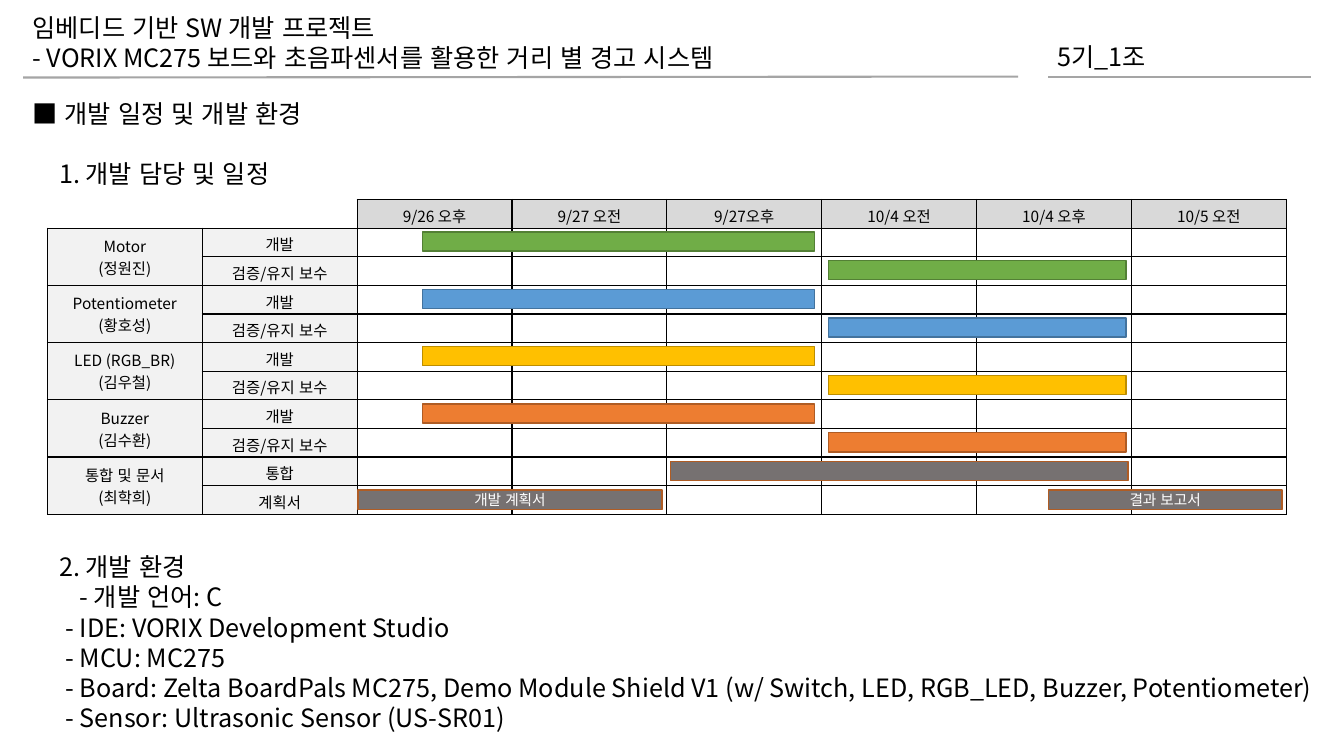
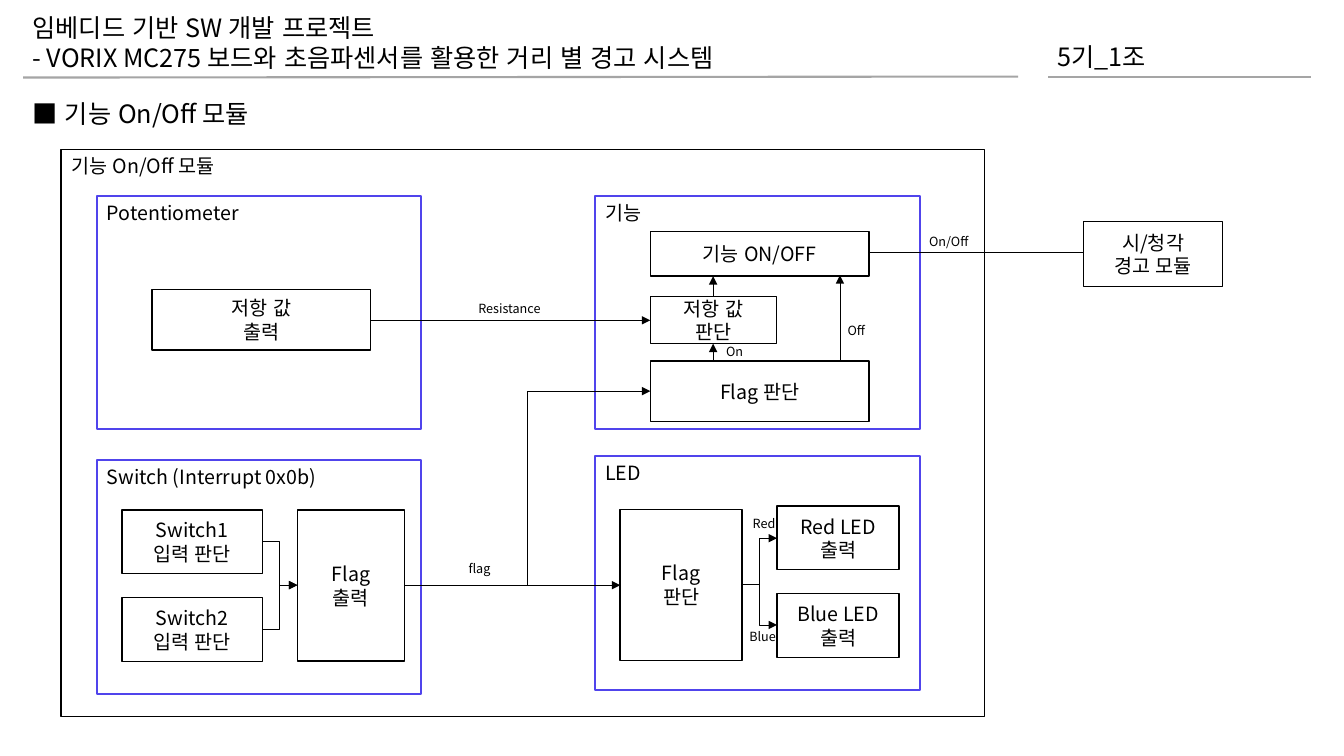
from dataclasses import dataclass
from typing import Optional

from lxml import etree
from pptx import Presentation
from pptx.dml.color import RGBColor
from pptx.enum.lang import MSO_LANGUAGE_ID
from pptx.enum.shapes import MSO_CONNECTOR, MSO_SHAPE
from pptx.enum.text import MSO_ANCHOR, PP_ALIGN
from pptx.oxml.ns import qn
from pptx.util import Pt

LEFT, CENTER = PP_ALIGN.LEFT, PP_ALIGN.CENTER
TOP, MIDDLE = MSO_ANCHOR.TOP, MSO_ANCHOR.MIDDLE
STRAIGHT, ELBOW = MSO_CONNECTOR.STRAIGHT, MSO_CONNECTOR.ELBOW
RECTANGLE = MSO_SHAPE.RECTANGLE
KOREAN = MSO_LANGUAGE_ID.KOREAN

FONT = "Noto Sans CJK KR"
COLORS = {
    "black": "000000", "white": "FFFFFF", "rule": "A5A5A5", "panel": "5044EC",
    "head": "D9D9D9", "label": "F2F2F2",
    "green": "70AD47", "green_edge": "538035", "blue": "5B9BD5", "blue_edge": "43739E",
    "yellow": "FFC000", "yellow_edge": "BD8E00", "orange": "ED7D31",
    "orange_edge": "AF5C24", "gray": "767171", "gray_edge": "AF5C24",
}


@dataclass
class Line:
    """One paragraph: text, left indent and space before."""
    text: str
    indent: float = 0
    before: float = 0


@dataclass
class Box:
    left: float
    top: float
    width: float
    height: float
    text: str = ""
    fill: str = "white"
    edge: str = "black"
    weight: float = 1
    size: float = 14
    color: str = "black"
    align: PP_ALIGN = CENTER
    anchor: MSO_ANCHOR = MIDDLE


@dataclass
class Link:
    start: tuple[float, float]
    end: tuple[float, float]
    kind: MSO_CONNECTOR = STRAIGHT
    arrow: bool = True
    color: str = "black"
    weight: float = 0.5


@dataclass
class Bar:
    row: int
    left: float
    width: float
    color: str
    text: str = ""


def rgb(name: str) -> RGBColor:
    return RGBColor.from_string(COLORS[name])


def lines_of(text: str) -> list[Line]:
    return [Line(part) for part in text.split("\n")]


# Shared drawing functions
def write(frame, lines: list[Line], size: float, color: str = "black",
          align: PP_ALIGN = LEFT, pitch: float = 1.2) -> None:
    for index, line in enumerate(lines):
        paragraph = frame.paragraphs[0] if index == 0 else frame.add_paragraph()
        paragraph.alignment = align
        paragraph.line_spacing = Pt(size * pitch)
        paragraph.space_before = Pt(line.before)
        if line.indent:
            paragraph._p.get_or_add_pPr().set("marL", str(Pt(line.indent)))
        run = paragraph.add_run()
        run.text = line.text
        run.font.size = Pt(size)
        run.font.language_id = KOREAN
        run.font.color.rgb = rgb(color)
        run.font.name = FONT
        etree.SubElement(run._r.get_or_add_rPr(), qn("a:ea"), typeface=FONT)


def add_text(slide, left: float, top: float, width: float, height: float,
             lines: list[Line], size: float = 18) -> None:
    shape = slide.shapes.add_textbox(Pt(left), Pt(top), Pt(width), Pt(height))
    shape.text_frame.word_wrap = True
    write(shape.text_frame, lines, size)


def add_box(slide, box: Box) -> None:
    shape = slide.shapes.add_shape(
        RECTANGLE, Pt(box.left), Pt(box.top), Pt(box.width), Pt(box.height))
    shape.shadow.inherit = False
    shape.fill.solid()
    shape.fill.fore_color.rgb = rgb(box.fill)
    shape.line.color.rgb = rgb(box.edge)
    shape.line.width = Pt(box.weight)
    if box.text:
        frame = shape.text_frame
        frame.word_wrap = True
        frame.vertical_anchor = box.anchor
        if box.anchor == MIDDLE:
            frame.margin_top = frame.margin_bottom = 0
        write(frame, lines_of(box.text), box.size, box.color, box.align)


def add_link(slide, link: Link) -> None:
    points = [Pt(value) for value in (*link.start, *link.end)]
    connector = slide.shapes.add_connector(link.kind, *points)
    connector.line.color.rgb = rgb(link.color)
    connector.line.width = Pt(link.weight)
    if link.arrow:
        etree.SubElement(connector.line._get_or_add_ln(), qn("a:tailEnd"), type="triangle")
    etree.SubElement(connector._element.spPr, qn("a:effectLst"))


def add_header(slide) -> None:
    for start, end in (((16.6, 55.4), (727.2, 54.7)), ((748.8, 54.7), (936.7, 54.7))):
        add_link(slide, Link(start, end, arrow=False, color="rule", weight=1.5))
    add_text(slide, 16.2, 5, 583.2, 51, lines_of(
        "임베디드 기반 SW 개발 프로젝트\n"
        "- VORIX MC275 보드와 초음파센서를 활용한 거리 별 경고 시스템"))
    add_text(slide, 748.4, 25.9, 172.8, 28.8, lines_of("5기_1조"))


# Schedule table
COLUMN_WIDTH, ROW_HEIGHT = 110.62, 20.45
TABLE_LEFT, TABLE_TOP = 33.9, 142.5
PERIODS = ["9/26 오후", "9/27 오전", "9/27오후", "10/4 오전", "10/4 오후", "10/5 오전"]
DEVELOPMENT = ("개발", "검증/유지 보수")
OWNERS = [
    ("Motor\n(정원진)", DEVELOPMENT),
    ("Potentiometer\n(황호성)", DEVELOPMENT),
    ("LED (RGB_BR)\n(김우철)", DEVELOPMENT),
    ("Buzzer\n(김수환)", DEVELOPMENT),
    ("통합 및 문서\n(최학희)", ("통합", "계획서")),
]


def style_cell(cell, text: str, fill: Optional[str], sides: str) -> None:
    properties = cell._tc.get_or_add_tcPr()
    for side in "LRTB":
        border = etree.SubElement(properties, qn(f"a:ln{side}"), w=str(Pt(1)))
        if side in sides:
            solid = etree.SubElement(border, qn("a:solidFill"))
            etree.SubElement(solid, qn("a:srgbClr"), val=COLORS["black"])
        else:
            etree.SubElement(border, qn("a:noFill"))
    if fill:
        cell.fill.solid()
        cell.fill.fore_color.rgb = rgb(fill)
    else:
        cell.fill.background()
    cell.margin_top = Pt(0 if "\n" in text else 2.5)
    cell.margin_bottom = 0
    cell.vertical_anchor = MIDDLE
    if text:
        write(cell.text_frame, lines_of(text), 11, align=CENTER, pitch=1.43)
    else:
        etree.SubElement(cell.text_frame.paragraphs[0]._p, qn("a:endParaRPr"), sz="1100")


def add_schedule(slide) -> None:
    row_count, column_count = 1 + 2 * len(OWNERS), 2 + len(PERIODS)
    table = slide.shapes.add_table(
        row_count, column_count, Pt(TABLE_LEFT), Pt(TABLE_TOP),
        Pt(COLUMN_WIDTH * column_count), Pt(ROW_HEIGHT * row_count)).table
    table.first_row = table.horz_banding = False
    for column in table.columns:
        column.width = Pt(COLUMN_WIDTH)
    for row in table.rows:
        row.height = Pt(ROW_HEIGHT)

    style_cell(table.cell(0, 0), "", None, "B")
    style_cell(table.cell(0, 1), "", None, "RB")
    for column, period in enumerate(PERIODS, 2):
        style_cell(table.cell(0, column), period, "head", "LRTB")
    for index, (owner, tasks) in enumerate(OWNERS):
        first = 1 + 2 * index
        for row, task in enumerate(tasks, first):
            style_cell(table.cell(row, 0), owner if row == first else "", "label", "LRTB")
            style_cell(table.cell(row, 1), task, "label", "LRTB")
            for column in range(2, column_count):
                style_cell(table.cell(row, column), "", None, "LRTB")
        table.cell(first, 0).merge(table.cell(first + 1, 0))


def add_bar(slide, bar: Bar) -> None:
    add_box(slide, Box(bar.left, 165.6 + 20.5 * bar.row, bar.width, 13.7, bar.text,
                       bar.color, bar.color + "_edge", size=10.5, color="white"))


def build_schedule_slide(slide) -> None:
    add_header(slide)
    add_text(slide, 16.2, 67, 938.6, 465, [
        Line("■ 개발 일정 및 개발 환경"),
        Line("1. 개발 담당 및 일정", 19, 21),
        Line("2. 개발 환경", 19, 259.2),
        Line("- 개발 언어: C", 33.5),
        Line("- IDE: VORIX Development Studio", 23.5),
        Line("- MCU: MC275", 23.5),
        Line("- Board: Zelta BoardPals MC275, Demo Module Shield V1 "
             "(w/ Switch, LED, RGB_LED, Buzzer, Potentiometer)", 23.5),
        Line("- Sensor: Ultrasonic Sensor (US-SR01)", 23.5),
    ])
    add_schedule(slide)
    bars = [Bar(8, 478.8, 326.9, "gray"),
            Bar(9, 255.6, 217.4, "gray", "개발 계획서"),
            Bar(9, 748.8, 167, "gray", "결과 보고서")]
    for index, color in enumerate(("green", "blue", "yellow", "orange")):
        bars += [Bar(2 * index, 301.7, 280.1, color),
                 Bar(2 * index + 1, 591.8, 212.4, color)]
    for bar in bars:
        add_bar(slide, bar)


# Module diagram
PANELS = [(69.1, 139.7, "Potentiometer"), (425.3, 139.7, "기능"),
          (69.1, 328.8, "Switch (Interrupt 0x0b)"), (425.3, 325.6, "LED")]
BLOCKS = [
    Box(108.7, 206.8, 156.2, 43.2, "저항 값\n출력"),
    Box(464.5, 165.6, 156.2, 31.7, "기능 ON/OFF"),
    Box(464.5, 211.7, 90, 33.8, "저항 값\n판단"),
    Box(464.5, 257.9, 156.2, 43.2, "Flag 판단"),
    Box(87.1, 364.3, 100.3, 45.4, "Switch1\n입력 판단"),
    Box(87.1, 427, 100.3, 45.4, "Switch2\n입력 판단"),
    Box(212.4, 364.3, 76.5, 108, "Flag\n출력"),
    Box(443, 363.8, 87.2, 108, "Flag\n판단"),
    Box(555.1, 361.6, 87.2, 45.4, "Red LED\n출력"),
    Box(555.1, 424.1, 87.2, 45.4, "Blue LED\n출력"),
    Box(774, 158.4, 99.4, 46.1, "시/청각\n경고 모듈"),
]
LINKS = [
    Link((187.4, 386.6), (212.4, 418), ELBOW),
    Link((187.4, 449.7), (212.4, 418), ELBOW),
    Link((288.9, 418), (443, 418)),
    Link((288.9, 418), (464.5, 279.4), ELBOW),
    Link((530.2, 417.6), (555.1, 384.5), ELBOW),
    Link((530.2, 417.6), (555.1, 446.4), ELBOW),
    Link((264.9, 228.8), (464.5, 228.8)),
    Link((509.4, 257.9), (509.4, 245.5)),
    Link((509.4, 211.7), (509.4, 197.3)),
    Link((600, 257.9), (600, 196.6)),
    Link((620.7, 180.4), (774, 180.4), arrow=False),
]
LINK_LABELS = [
    (327.6, 397.4, "flag"), (334.6, 211.3, "Resistance"), (598.3, 226.8, "Off"),
    (511.6, 242.3, "On"), (530.6, 365, "Red"), (528.2, 445.7, "Blue"),
    (656.6, 163.4, "On/Off"),
]


def build_module_slide(slide) -> None:
    add_header(slide)
    add_text(slide, 16.2, 67, 632.2, 28.8, lines_of("■ 기능 On/Off 모듈"))
    add_box(slide, Box(43.7, 106.7, 659.5, 405, "기능 On/Off 모듈",
                       align=LEFT, anchor=TOP))
    for left, top, title in PANELS:
        add_box(slide, Box(left, top, 231.8, 167, title, edge="panel", weight=1.5,
                           align=LEFT, anchor=TOP))
    for block in BLOCKS:
        add_box(slide, block)
    for link in LINKS:
        add_link(slide, link)
    for left, top, label in LINK_LABELS:
        add_text(slide, left, top, 84.2, 18, lines_of(label), 9)


presentation = Presentation()
presentation.slide_width, presentation.slide_height = Pt(960), Pt(540)
for build in (build_schedule_slide, build_module_slide):
    build(presentation.slides.add_slide(presentation.slide_layouts[6]))
presentation.save("out.pptx")
